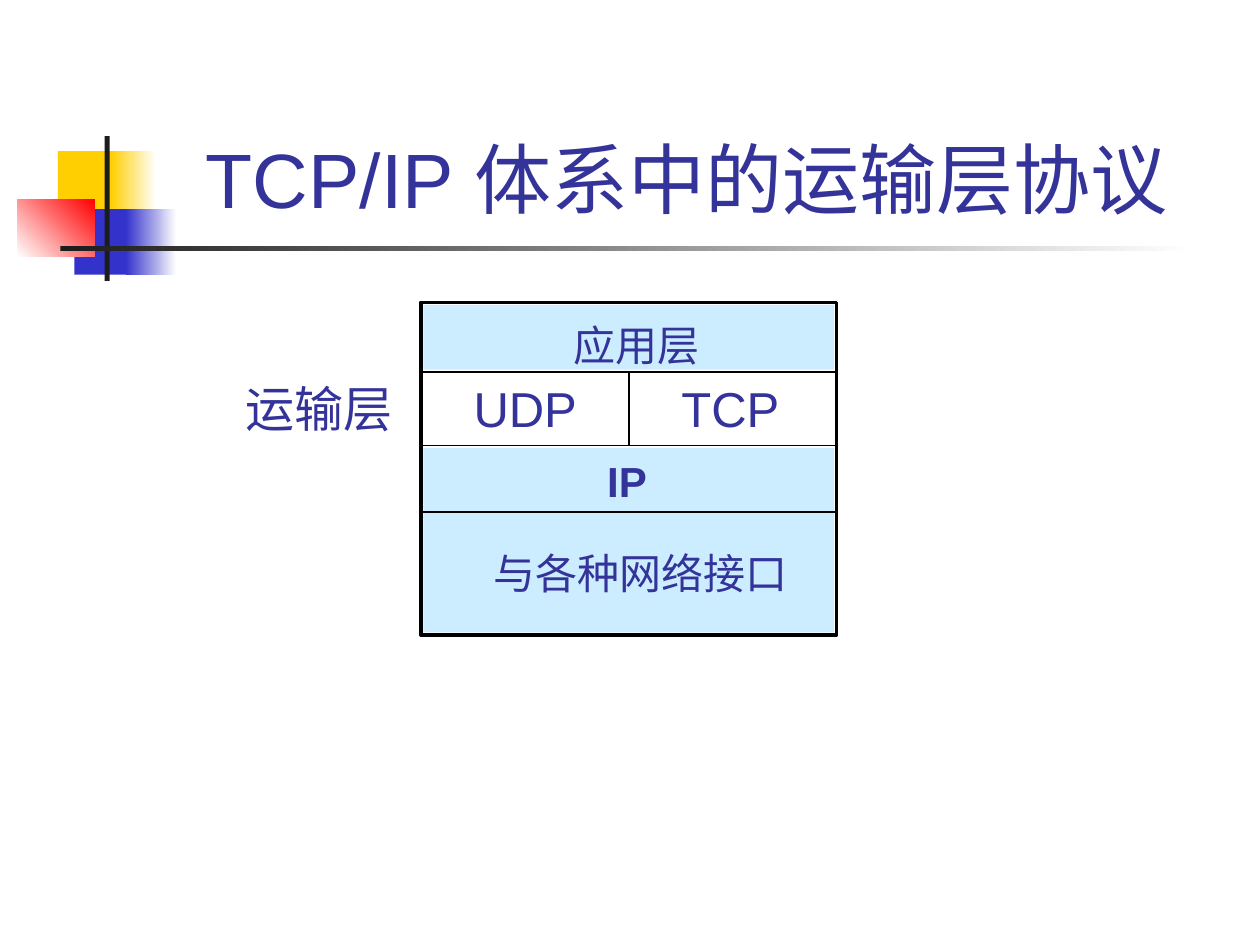
from lxml import etree
from pptx import Presentation
from pptx.dml.color import RGBColor
from pptx.enum.shapes import MSO_CONNECTOR, MSO_SHAPE
from pptx.enum.text import MSO_ANCHOR, MSO_AUTO_SIZE, PP_ALIGN
from pptx.oxml.ns import qn
from pptx.util import Inches, Pt

RECT = MSO_SHAPE.RECTANGLE
LINE = MSO_CONNECTOR.STRAIGHT
BOTTOM = MSO_ANCHOR.BOTTOM
FIXED = MSO_AUTO_SIZE.NONE
GROW = MSO_AUTO_SIZE.SHAPE_TO_FIT_TEXT
CENTER = PP_ALIGN.CENTER

INK = RGBColor(0x33, 0x33, 0x99)
BLACK = RGBColor(0, 0, 0)
WHITE = RGBColor(0xFF, 0xFF, 0xFF)
DARK = RGBColor(0x1C, 0x1C, 0x1C)
GOLD = RGBColor(0xFF, 0xCF, 0x01)
BLUE = RGBColor(0x33, 0x33, 0xCC)
RED = RGBColor(0xFF, 0, 0)
SKY = RGBColor(0xCC, 0xEC, 0xFF)


def inches(*vals):
    return [Inches(val) for val in vals]


def block(slide, box, tint, fade=None, angle=0):
    shape = slide.shapes.add_shape(RECT, *inches(*box))
    shape.shadow.inherit = False
    shape.line.fill.background()
    if fade is None:
        shape.fill.solid()
        shape.fill.fore_color.rgb = tint
    else:
        shape.fill.gradient()
        shape.fill.gradient_angle = angle
        for stop, color, spot in zip(shape.fill.gradient_stops, (tint, fade), (0, 1)):
            stop.color.rgb = color
            stop.position = spot
    return shape


def rule(slide, start, end):
    line = slide.shapes.add_connector(LINE, *inches(*start, *end))
    line.line.color.rgb = BLACK
    line.line.width = Pt(1)
    etree.SubElement(line._element.spPr, qn("a:effectLst"))


def style(para, size, face="Arial", bold=False):
    para.font.size = Pt(size)
    para.font.name = face
    para.font.bold = bold
    para.font.color.rgb = INK


def label(slide, box, text, size, face="Arial", bold=False):
    frame = slide.shapes.add_textbox(*inches(*box)).text_frame
    frame.word_wrap = True
    frame.auto_size = GROW
    frame.margin_right = 0
    frame.text = text
    style(frame.paragraphs[0], size, face, bold)


def emblem(slide, left, top):
    parts = [
        (0.32, 0.12, 0.48, 0.52, GOLD),
        (0.74, 0.12, 0.36, 0.52, GOLD, WHITE),
        (0.45, 0.58, 0.46, 0.52, BLUE),
        (0.86, 0.58, 0.4, 0.52, BLUE, WHITE),
        (0, 0.5, 0.61, 0.46, WHITE, RED, 45),
        (0.69, 0, 0.04, 1.15, DARK),
        (0.34, 0.87, 9, 0.04, DARK, WHITE),
    ]
    for x, y, wide, high, *paint in parts:
        block(slide, (left + x, top + y, wide, high), *paint)


def heading(slide, box):
    title = slide.shapes.title
    title.left, title.top, title.width, title.height = inches(*box)
    frame = title.text_frame
    frame.auto_size = FIXED
    frame.word_wrap = True
    frame.vertical_anchor = BOTTOM
    frame.text = "TCP/IP 体系中的运输层协议 "
    para = frame.paragraphs[0]
    para.alignment = CENTER
    style(para, 44)


def stack(slide, left, top, wide, high):
    right, mid = left + wide, left + wide / 2
    app, trans, net = [top + high * part for part in (0.21, 0.43, 0.63)]
    gap = 0.02
    frame = block(slide, (left, top, wide, high), WHITE)
    frame.line.color.rgb = BLACK
    frame.line.width = Pt(2)
    for start, end in ((top, app), (trans, top + high)):
        block(slide, (left + gap, start + gap, wide - 2 * gap, end - start - 2 * gap), SKY)
    for y in (app, trans, net):
        rule(slide, (left, y), (right, y))
    rule(slide, (mid, app), (mid, trans))
    label(slide, (left + 1.11, top + 0.09, 1.2, 0.5), "应用层", 24)
    label(slide, (left + 0.32, app, 1.02, 0.56), "UDP", 28)
    label(slide, (mid + 0.32, app, 0.98, 0.56), "TCP", 28)
    label(slide, (left + 1.38, trans + 0.03, 0.51, 0.5), "IP", 24, bold=True)
    label(slide, (left + 0.48, net + 0.23, 2.6, 0.5), "与各种网络接口", 24)
    label(slide, (left - 1.49, app, 1.36, 0.57), "运输层", 28, "Cabin")


def main():
    deck = Presentation()
    deck.slide_width, deck.slide_height = inches(10, 7.5)
    slide = deck.slides.add_slide(deck.slide_layouts[5])
    emblem(slide, 0.14, 1.08)
    heading(slide, (1.26, 0.23, 8.52, 1.6))
    stack(slide, 3.34, 2.4, 3.3, 2.64)
    deck.save("out.pptx")


if __name__ == "__main__":
    main()
